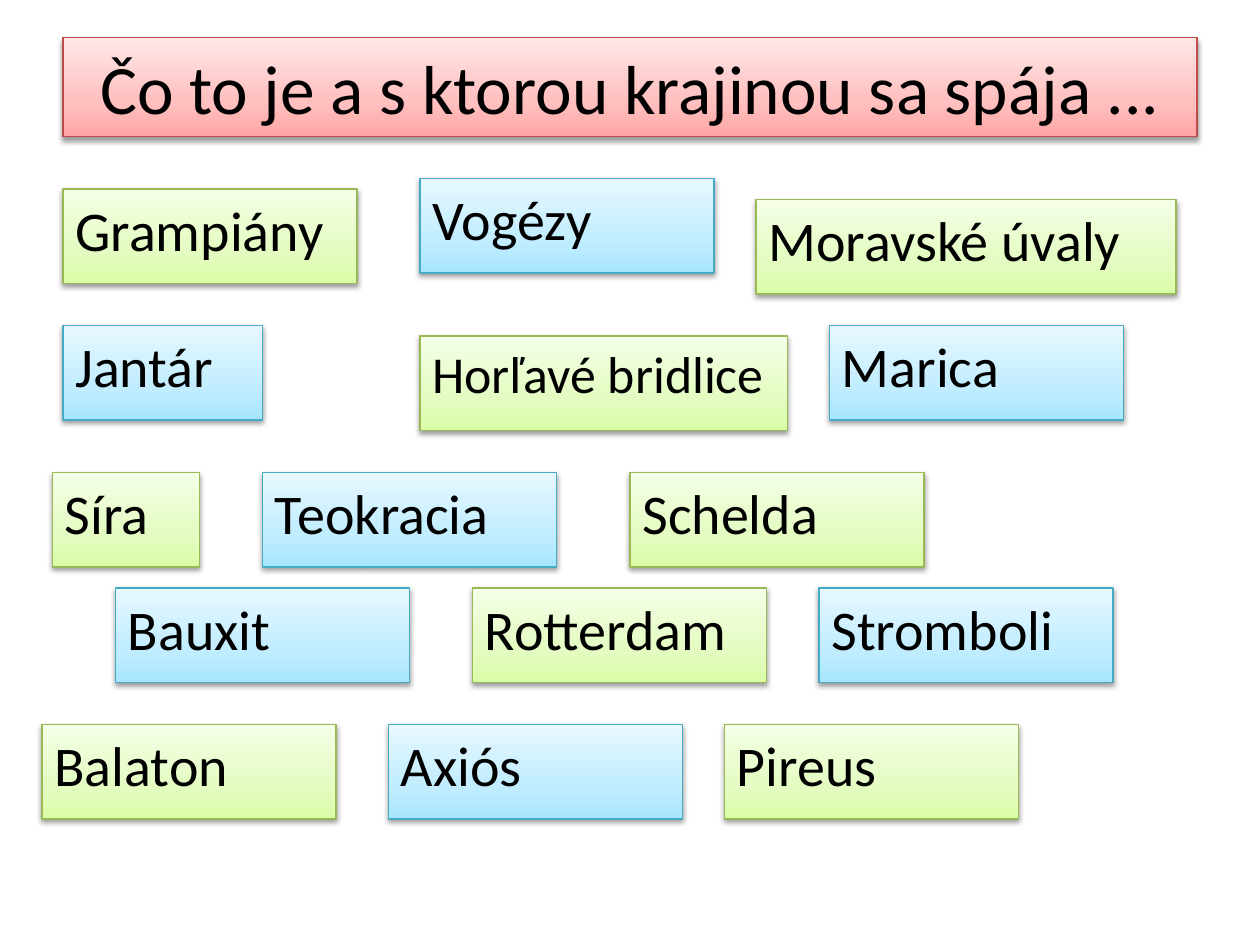
from copy import deepcopy
from dataclasses import dataclass

from lxml import etree
from pptx import Presentation
from pptx.dml.color import RGBColor
from pptx.enum.shapes import MSO_SHAPE
from pptx.enum.text import MSO_ANCHOR, PP_ALIGN
from pptx.oxml.ns import qn
from pptx.util import Inches, Pt

RECTANGLE = MSO_SHAPE.RECTANGLE
TOP, MIDDLE = MSO_ANCHOR.TOP, MSO_ANCHOR.MIDDLE
LEFT, CENTER = PP_ALIGN.LEFT, PP_ALIGN.CENTER

# Grid of twelve cells to the inch
CELL = Inches(1) // 12
COLUMNS, ROWS = 120, 90
CARD_WIDTH, CARD_HEIGHT = 28, 9


@dataclass(frozen=True)
class Palette:
    shades: tuple  # gradient from bottom to top
    outline: str


@dataclass(frozen=True)
class Theme:
    red: Palette = Palette(("FFA6A5", "FFC0BF", "FFE7E7"), "BF4C48")
    green: Palette = Palette(("DAFDA7", "E4FCC2", "F5FFE7"), "98B955")
    blue: Palette = Palette(("A7E6FF", "C1EDFF", "E7F8FF"), "46AAC5")
    shade_positions: tuple = (0, 0.35, 1)
    text: str = "000000"
    shadow: str = "000000"
    font: str = "Calibri"
    title_size: float = 39.6
    card_size: float = 32
    small_card_size: float = 29.6


THEME = Theme()
TITLE = "Čo to je a s ktorou krajinou sa spája ..."

# Term, column, row, width in cells, type size
CARDS = [
    ("Grampiány", 6, 18, CARD_WIDTH, THEME.card_size),
    ("Vogézy", 40, 17, CARD_WIDTH, THEME.card_size),
    ("Moravské úvaly", 72, 19, 40, THEME.card_size),
    ("Jantár", 6, 31, 19, THEME.card_size),
    ("Horľavé bridlice", 40, 32, 35, THEME.small_card_size),
    ("Marica", 79, 31, CARD_WIDTH, THEME.card_size),
    ("Síra", 5, 45, 14, THEME.card_size),
    ("Teokracia", 25, 45, CARD_WIDTH, THEME.card_size),
    ("Schelda", 60, 45, CARD_WIDTH, THEME.card_size),
    ("Bauxit", 11, 56, CARD_WIDTH, THEME.card_size),
    ("Rotterdam", 45, 56, CARD_WIDTH, THEME.card_size),
    ("Stromboli", 78, 56, CARD_WIDTH, THEME.card_size),
    ("Balaton", 4, 69, CARD_WIDTH, THEME.card_size),
    ("Axiós", 37, 69, CARD_WIDTH, THEME.card_size),
    ("Pireus", 69, 69, CARD_WIDTH, THEME.card_size),
]


def fill_gradient(box, shades):
    box.fill.gradient()
    box.fill.gradient_angle = 90
    # The default gradient has two stops; add a third
    first_stop = box._element.spPr.find(".//" + qn("a:gs"))
    first_stop.addnext(deepcopy(first_stop))
    stops = zip(box.fill.gradient_stops, THEME.shade_positions, shades)
    for stop, position, shade in stops:
        stop.position = position
        stop.color.rgb = RGBColor.from_string(shade)


def add_shadow(box):
    box.shadow.inherit = False
    effects = box._element.spPr.find(qn("a:effectLst"))
    shadow = etree.SubElement(
        effects, qn("a:outerShdw"), blurRad=str(Pt(3.1)), dist=str(Pt(1.6)),
        dir="5400000", rotWithShape="0")
    color = etree.SubElement(shadow, qn("a:srgbClr"), val=THEME.shadow)
    etree.SubElement(color, qn("a:alpha"), val="38000")


def add_box(page, text, column, row, width, height, palette, size,
            align=LEFT, anchor=TOP):
    box = page.shapes.add_shape(
        RECTANGLE, *(round(cells * CELL) for cells in (column, row, width, height)))
    fill_gradient(box, palette.shades)
    box.line.color.rgb = RGBColor.from_string(palette.outline)
    box.line.width = Pt(0.75)
    add_shadow(box)

    frame = box.text_frame
    frame.word_wrap = True
    frame.vertical_anchor = anchor
    para = frame.paragraphs[0]
    para.text = text
    para.alignment = align
    font = para.runs[0].font
    font.name = THEME.font
    font.size = Pt(size)
    font.color.rgb = RGBColor.from_string(THEME.text)
    return box


def add_card(page, term, column, row, width, palette, size):
    box = add_box(page, term, column, row, width, CARD_HEIGHT, palette, size)
    # Hanging indent
    properties = box.text_frame.paragraphs[0]._p.get_or_add_pPr()
    properties.set("marL", str(Inches(0.38)))
    properties.set("indent", str(-Inches(0.38)))


def main():
    deck = Presentation()
    deck.slide_width, deck.slide_height = COLUMNS * CELL, ROWS * CELL
    page = deck.slides.add_slide(deck.slide_layouts[6])

    # Title banner
    add_box(page, TITLE, 6, 3.6, 108, 9.4, THEME.red, THEME.title_size,
            CENTER, MIDDLE)

    # Cards in alternating colours
    palettes = (THEME.green, THEME.blue)
    for index, (term, column, row, width, size) in enumerate(CARDS):
        add_card(page, term, column, row, width, palettes[index % 2], size)

    deck.save("out.pptx")


if __name__ == "__main__":
    main()
